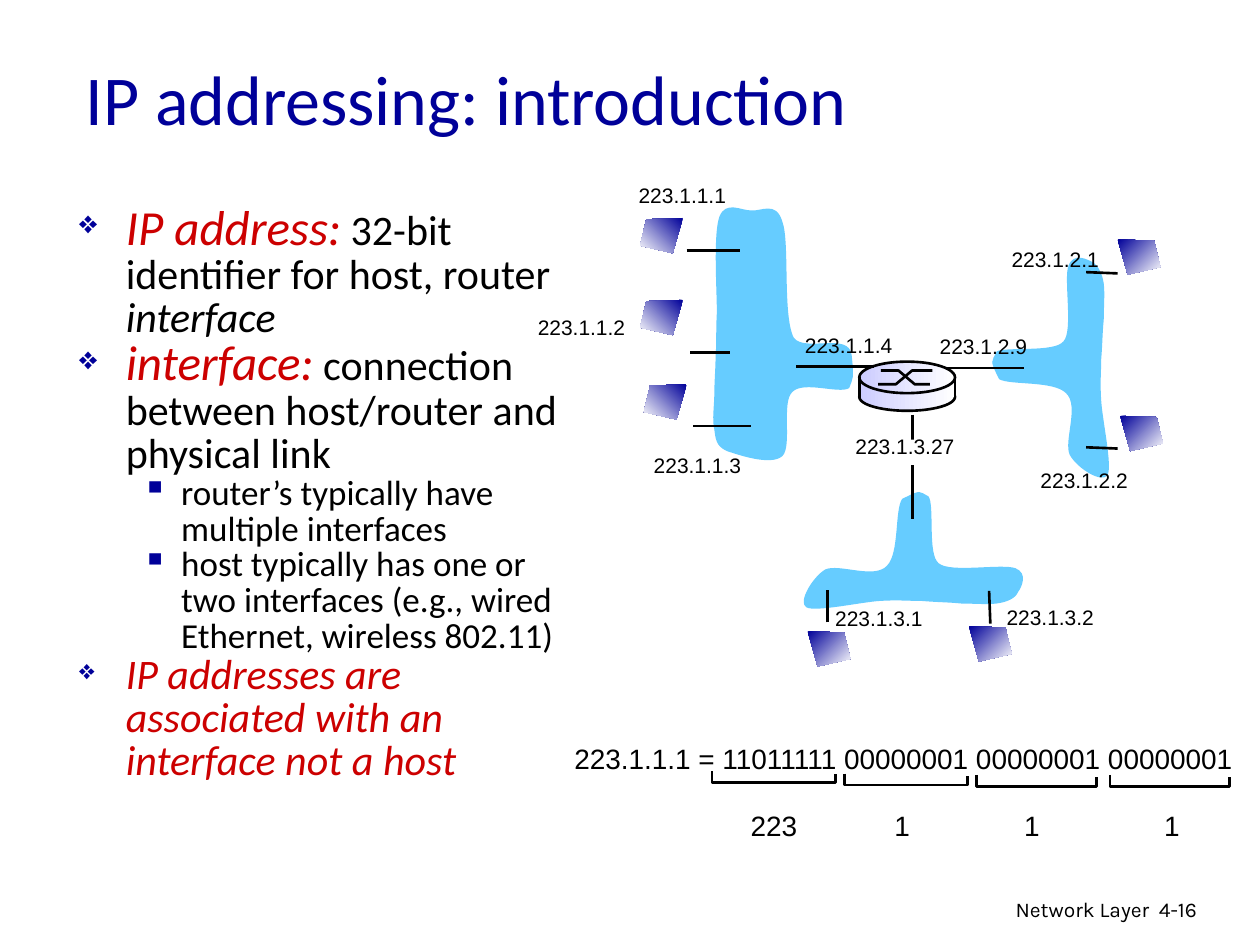
from pptx import Presentation
from pptx.util import Inches, Pt
from pptx.dml.color import RGBColor
from pptx.enum.shapes import MSO_CONNECTOR, MSO_SHAPE
from pptx.enum.text import MSO_ANCHOR, MSO_AUTO_SIZE, PP_ALIGN
from pptx.oxml.ns import qn
from lxml.etree import SubElement

COLORS = {"black": "000000", "white": "FFFFFF", "navy": "000099",
          "red": "CC0000", "sky": "66CCFF", "lilac": "CCCCFF"}


def tint(name):
    return RGBColor.from_string(COLORS[name])


class Sketch:
    def __init__(self, slide):
        self.slide = slide
        self.shapes = slide.shapes
        self.width = Pt(1.5)

    def style(self, run, size, font, color="black", slant=False):
        run.font.size = Pt(size)
        run.font.name = font
        run.font.italic = slant
        run.font.color.rgb = tint(color)

    def paint(self, shape, fill=None, line=None, angle=0):
        """Fill with one colour, a pair of colours (gradient) or nothing."""
        shape.shadow.inherit = False
        if fill is None:
            shape.fill.background()
        elif isinstance(fill, tuple):
            shape.fill.gradient()
            shape.fill.gradient_angle = angle
            for stop, name in zip(shape.fill.gradient_stops, fill):
                stop.color.rgb = tint(name)
        else:
            shape.fill.solid()
            shape.fill.fore_color.rgb = tint(fill)
        if line:
            shape.line.color.rgb = tint(line)
            shape.line.width = self.width
        else:
            shape.line.fill.background()

    def title(self, text, x, y, w, h):
        box = self.shapes.title
        box.left, box.top, box.width, box.height = map(Inches, (x, y, w, h))
        frame = box.text_frame
        frame.text = text
        frame.vertical_anchor = MSO_ANCHOR.MIDDLE
        frame.paragraphs[0].alignment = PP_ALIGN.LEFT
        self.style(frame.paragraphs[0].runs[0], 40, "Calibri", "navy")

    def text(self, text, x, y, w, h=0.3, size=12, font="Arial", wrap=False,
             align=PP_ALIGN.LEFT):
        frame = self.shapes.add_textbox(*map(Inches, (x, y, w, h))).text_frame
        frame.word_wrap = wrap
        if not wrap:
            frame.auto_size = MSO_AUTO_SIZE.SHAPE_TO_FIT_TEXT
        frame.text = text
        frame.paragraphs[0].alignment = align
        self.style(frame.paragraphs[0].runs[0], size, font)

    def bullet(self, para, level):
        mark, left, hang, scale = (("❖", 0.37, 0.37, 65), ("▪", 0.81, 0.31, 100))[level]
        para.level = level
        props = para._p.get_or_add_pPr()
        props.set("marL", str(Inches(left)))
        props.set("indent", str(-Inches(hang)))
        color = SubElement(props, qn("a:buClr"))
        SubElement(color, qn("a:srgbClr")).set("val", COLORS["navy"])
        SubElement(props, qn("a:buSzPct")).set("val", str(scale * 1000))
        SubElement(props, qn("a:buChar")).set("char", mark)
        para.line_spacing = 0.85

    def body(self, items, x, y, w, h):
        frame = self.shapes.add_textbox(*map(Inches, (x, y, w, h))).text_frame
        frame.word_wrap = True
        for i, (level, parts) in enumerate(items):
            para = frame.add_paragraph() if i else frame.paragraphs[0]
            self.bullet(para, level)
            for text, size, color, slant in parts:
                run = para.add_run()
                run.text = text
                self.style(run, size, "Calibri", color, slant)

    def shape(self, kind, x, y, w, h, fill, line=None):
        shape = self.shapes.add_shape(kind, *map(Inches, (x, y, w, h)))
        self.paint(shape, fill, line)

    def line(self, x1, y1, x2, y2):
        link = self.shapes.add_connector(MSO_CONNECTOR.STRAIGHT,
                                         *map(Inches, (x1, y1, x2, y2)))
        link.line.color.rgb = tint("black")
        link.line.width = self.width
        SubElement(link._element.spPr, qn("a:effectLst"))

    def free(self, points, fill=None, line=None, close=True, angle=0):
        spots = [(Inches(x), Inches(y)) for x, y in points]
        pen = self.shapes.build_freeform(*spots[0])
        pen.add_line_segments(spots[1:], close=close)
        shape = pen.convert_to_shape()
        self.paint(shape, fill, line, angle)
        return shape

    def cloud(self, start, curves):
        """Draw a blob; each curve is x1 y1 x2 y2 x y."""
        points = [start]
        for curve in curves:
            points += zip(curve[::2], curve[1::2])
        shape = self.free(points, "sky")
        steps = list(shape._element.iter(qn("a:lnTo")))
        for first, second, third in zip(steps[::3], steps[1::3], steps[2::3]):
            first.tag = qn("a:cubicBezTo")
            for step in (second, third):
                first.append(step[0])
                step.getparent().remove(step)

    def host(self, x, y, side):
        """Draw a host from its high corner; side 1 leans right, -1 left."""
        steps = ((0, 0), (0.29, 0.01), (0.34, 0.22), (0.08, 0.28))
        self.free([(x + side * dx, y + dy) for dx, dy in steps],
                  ("navy", "white"), angle=270 + 45 * side)

    def router(self, x, y, w):
        shade = ("lilac", "white")
        self.shape(MSO_SHAPE.OVAL, x, y + 0.17, w, 0.22, shade, "black")
        self.shape(MSO_SHAPE.RECTANGLE, x, y + 0.15, w, 0.13, shade)
        self.shape(MSO_SHAPE.OVAL, x, y, w, 0.25, shade, "black")
        low, high = y + 0.18, y + 0.07
        for xs, y1, y2 in (((0.15, 0.29, 0.42, 0.58), low, high),
                           ((0.17, 0.31, 0.44, 0.56), high, low)):
            self.free([(x + dx, py) for dx, py in zip(xs, (y1, y1, y2, y2))],
                      line="black", close=False)
        for edge in (x, x + w):
            self.line(edge, y + 0.12, edge, y + 0.29)


CLOUDS = (
    ((7.16, 3.96), (
        (7.1, 4.05, 7.14, 4.39, 7.04, 4.49), (6.94, 4.6, 6.66, 4.47, 6.55, 4.52),
        (6.45, 4.58, 6.33, 4.78, 6.4, 4.82), (6.47, 4.86, 6.83, 4.78, 6.98, 4.77),
        (7.13, 4.76, 7.21, 4.77, 7.32, 4.77), (7.43, 4.78, 7.53, 4.78, 7.63, 4.79),
        (7.72, 4.79, 7.84, 4.8, 7.91, 4.79), (7.99, 4.78, 8.06, 4.75, 8.08, 4.7),
        (8.11, 4.66, 8.16, 4.55, 8.06, 4.51), (7.95, 4.47, 7.54, 4.55, 7.45, 4.47),
        (7.36, 4.4, 7.42, 4.01, 7.37, 3.94), (7.29, 3.9, 7.32, 3.88, 7.16, 3.96))),
    ((7.93, 3.01), (
        (8.02, 3.06, 8.36, 3.02, 8.46, 3.12), (8.57, 3.22, 8.44, 3.5, 8.49, 3.61),
        (8.55, 3.72, 8.75, 3.84, 8.79, 3.77), (8.83, 3.7, 8.75, 3.34, 8.74, 3.18),
        (8.73, 3.03, 8.74, 2.95, 8.74, 2.85), (8.75, 2.74, 8.75, 2.63, 8.76, 2.54),
        (8.76, 2.44, 8.77, 2.33, 8.76, 2.25), (8.75, 2.18, 8.72, 2.11, 8.67, 2.08),
        (8.63, 2.06, 8.52, 2, 8.48, 2.11), (8.44, 2.21, 8.52, 2.63, 8.44, 2.71),
        (8.37, 2.8, 7.98, 2.75, 7.91, 2.79), (7.87, 2.88, 7.85, 2.85, 7.93, 3.01))),
    ((6.76, 2.82), (
        (6.74, 2.63, 6.39, 2.8, 6.3, 2.68), (6.21, 2.5, 6.27, 1.92, 6.21, 1.76),
        (6.16, 1.59, 6.04, 1.68, 5.96, 1.67), (5.88, 1.67, 5.76, 1.59, 5.71, 1.72),
        (5.66, 1.86, 5.69, 2.3, 5.69, 2.48), (5.68, 2.66, 5.69, 2.71, 5.68, 2.81),
        (5.68, 2.92, 5.67, 3.03, 5.67, 3.12), (5.67, 3.22, 5.65, 3.33, 5.67, 3.41),
        (5.68, 3.48, 5.68, 3.54, 5.77, 3.58), (5.86, 3.61, 6.12, 3.7, 6.21, 3.62),
        (6.29, 3.54, 6.2, 3.19, 6.29, 3.11), (6.38, 3.02, 6.66, 3.13, 6.74, 3.08),
        (6.77, 3, 6.78, 3.01, 6.76, 2.82))))
BODY = (
    (0, (("IP address:", 28, "red", True),
         (" 32-bit identifier for host, router ", 24, "black", False),
         ("interface", 24, "black", True))),
    (0, (("interface:", 28, "red", True),
         (" connection between host/router and physical link", 24, "black", False))),
    (1, (("router’s typically have multiple interfaces", 20, "black", False),)),
    (1, (("host typically has one or two interfaces (e.g., wired Ethernet, "
          "wireless 802.11)", 20, "black", False),)),
    (0, (("IP addresses are associated with an interface not a host",
          24, "red", True),)))
LABELS = (("1.1", 4.97, 1.4), ("1.2", 4.17, 2.45), ("1.3", 5.09, 3.54),
          ("1.4", 6.29, 2.59), ("2.9", 7.36, 2.6), ("2.2", 8.16, 3.66),
          ("2.1", 7.93, 1.91), ("3.2", 7.89, 4.75), ("3.1", 6.53, 4.76))
LINKS = ((7.5, 2.92, 8.13, 2.92), (8.62, 2.16, 8.87, 2.17),
         (8.62, 3.55, 8.87, 3.56), (7.24, 3.29, 7.24, 4.12),
         (6.57, 4.94, 6.57, 4.68), (7.86, 4.95, 7.85, 4.69),
         (5.45, 1.99, 5.87, 1.99), (5.48, 2.8, 5.79, 2.8),
         (5.5, 3.38, 5.96, 3.38))
HOSTS = ((5.42, 1.73, -1), (5.42, 2.38, -1), (5.45, 3.05, -1), (8.87, 1.9, 1),
         (8.89, 3.3, 1), (7.69, 4.97, 1), (6.41, 5.01, 1))
BYTES = (("223", 5.65, 6.12, 0.98, 5.86, 0.57), ("1", 6.7, 6.14, 0.98, 7, 0.33),
         ("1", 7.75, 6.15, 0.95, 8.03, 0.33), ("1", 8.81, 6.15, 0.95, 9.14, 0.33))


def main():
    deck = Presentation()
    deck.slide_width, deck.slide_height = Inches(10), Inches(7.5)
    art = Sketch(deck.slides.add_slide(deck.slide_layouts[5]))
    for start, curves in CLOUDS:
        art.cloud(start, curves)
    art.text("Network Layer", 6.05, 7.07, 3.17, font="Karla", wrap=True,
             align=PP_ALIGN.RIGHT)
    art.text("4-16", 9.1, 7.07, 0.74, font="Karla", wrap=True)
    art.title("IP addressing: introduction", 0.58, 0.25, 8.5, 1.04)
    art.body(BODY, 0.53, 1.58, 4.04, 5.08)
    for link in LINKS:
        art.line(*link)
    for x, y, w in ((4.27, 2.54, 0.91), (6.78, 3.49, 0.93)):
        art.shape(MSO_SHAPE.RECTANGLE, x, y, w, 0.2, "white")
    for tail, x, y in LABELS:
        art.text("223.1." + tail, x, y, 0.9)
    art.text("223.1.3.27", 6.69, 3.39, 0.99)
    art.text("223.1.1.1 = 11011111 00000001 00000001 00000001",
             4.46, 5.84, 5.48, 0.37, 16)
    for text, x, y, w, left, wide in BYTES:
        art.free([(x, y), (x, y + 0.09), (x + w, y + 0.09), (x + w, y + 0.02)],
                 line="black", close=False)
        art.text(text, left, 6.37, wide, 0.37, 16)
    for x, y, side in HOSTS:
        art.host(x, y, side)
    art.router(6.82, 2.87, 0.76)
    art.line(6.32, 2.91, 6.94, 2.91)
    deck.save("out.pptx")


if __name__ == "__main__":
    main()
